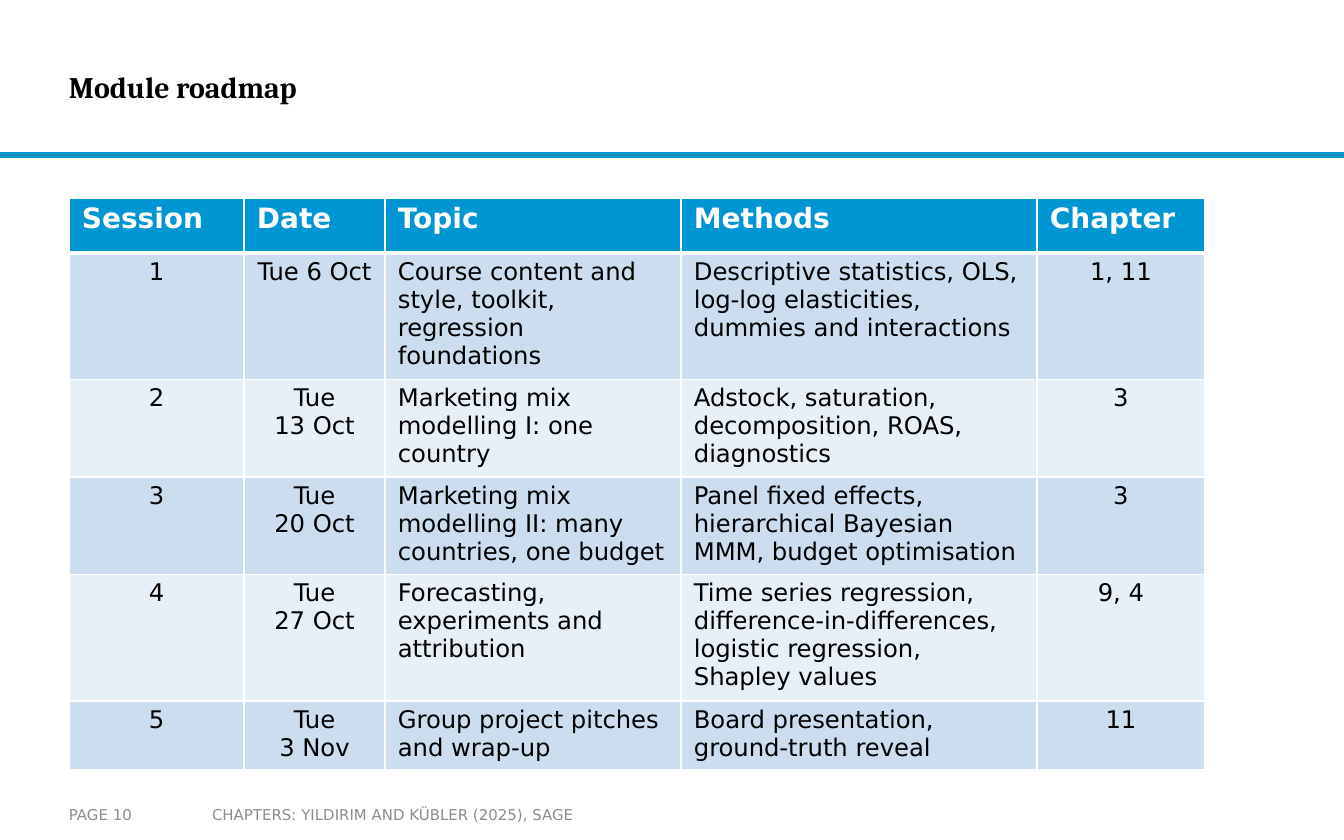
from lxml.etree import SubElement
from pptx import Presentation
from pptx.dml.color import RGBColor
from pptx.enum.shapes import MSO_SHAPE
from pptx.enum.text import MSO_ANCHOR, PP_ALIGN
from pptx.oxml.ns import qn
from pptx.util import Pt

EMU_PER_PX = 914400 / 134.4
NBSP = chr(160)  # keeps day and month on one line
COLORS = {
    "black": "000000", "white": "FFFFFF", "gray": "8C8C8C",
    "bar": "0C94B7", "accent": "0096D3",
    "band_dark": "CCDDEF", "band_light": "E7EFF7",
}
HEAD_FONT, BODY_FONT = "Cambria", "DejaVu Sans"

COLUMNS = [("Session", 175), ("Date", 141), ("Topic", 296),
           ("Methods", 356), ("Chapter", 168)]
CENTERED = {"Session", "Date", "Chapter"}
SESSIONS = [
    ("1", f"Tue 6{NBSP}Oct",
     "Course content and style, toolkit, regression foundations",
     "Descriptive statistics, OLS, log-log elasticities, dummies and interactions",
     "1, 11"),
    ("2", f"Tue 13{NBSP}Oct",
     "Marketing mix modelling I: one country",
     "Adstock, saturation, decomposition, ROAS, diagnostics", "3"),
    ("3", f"Tue 20{NBSP}Oct",
     "Marketing mix modelling II: many countries, one budget",
     "Panel fixed effects, hierarchical Bayesian MMM, budget optimisation", "3"),
    ("4", f"Tue 27{NBSP}Oct",
     "Forecasting, experiments and attribution",
     "Time series regression, difference-in-differences, logistic regression, "
     "Shapley values", "9, 4"),
    ("5", f"Tue 3{NBSP}Nov",
     "Group project pitches and wrap-up",
     "Board presentation, ground-truth reveal", "11"),
]


def px(n):
    return round(n * EMU_PER_PX)


def rgb(name):
    return RGBColor.from_string(COLORS[name])


class Deck:
    def __init__(self, width, height):
        self.prs = Presentation()
        self.prs.slide_width, self.prs.slide_height = px(width), px(height)
        self.s = self.prs.slides.add_slide(self.prs.slide_layouts[6])

    def run(self, p, text, size, color, font=BODY_FONT, bold=False):
        r = p.add_run()
        r.text = text
        r.font.name, r.font.size, r.font.bold = font, Pt(size), bold
        r.font.color.rgb = rgb(color)

    def bar(self, x, y, w, h, fill, line):
        sp = self.s.shapes.add_shape(MSO_SHAPE.RECTANGLE, px(x), px(y), px(w), px(h))
        sp.shadow.inherit = False
        sp.fill.solid()
        sp.fill.fore_color.rgb = rgb(fill)
        sp.line.color.rgb = rgb(line)
        sp.line.width = Pt(1)

    def text(self, x, y, w, h, text, size, color, inset=(0, 0), **style):
        tf = self.s.shapes.add_textbox(px(x), px(y), px(w), px(h)).text_frame
        tf.word_wrap = True
        tf.vertical_anchor = MSO_ANCHOR.MIDDLE
        tf.margin_left = tf.margin_right = px(inset[0])
        tf.margin_top = tf.margin_bottom = px(inset[1])
        self.run(tf.paragraphs[0], text, size, color, **style)

    def borders(self, cell, top, bottom):
        tc_pr = cell._tc.get_or_add_tcPr()
        for side, width in (("L", 1), ("R", 1), ("T", top), ("B", bottom)):
            ln = SubElement(tc_pr, qn(f"a:ln{side}"), w=str(Pt(width)))
            fill = SubElement(ln, qn("a:solidFill"))
            SubElement(fill, qn("a:srgbClr"), val=COLORS["white"])

    def cell(self, cell, text, size, color, fill, align, top, bottom, bold):
        cell.margin_left = cell.margin_right = px(13)
        cell.margin_top = cell.margin_bottom = px(5)
        self.borders(cell, top, bottom)
        cell.fill.solid()
        cell.fill.fore_color.rgb = rgb(fill)
        p = cell.text_frame.paragraphs[0]
        p.alignment = align
        self.run(p, text, size, color, bold=bold)

    def table(self, x, y, row_height, columns, rows, centered):
        names = [name for name, _ in columns]
        widths = [width for _, width in columns]
        lines = [names, *rows]
        table = self.s.shapes.add_table(
            len(lines), len(names), px(x), px(y),
            px(sum(widths)), px(row_height * len(lines))).table
        for column, width in zip(table.columns, widths):
            column.width = px(width)
        for i, line in enumerate(lines):
            table.rows[i].height = px(row_height)
            header = i == 0
            band = "band_dark" if i % 2 else "band_light"
            for j, text in enumerate(line):
                center = not header and names[j] in centered
                self.cell(
                    table.cell(i, j), text,
                    size=15 if header else 13,
                    color="white" if header else "black",
                    fill="accent" if header else band,
                    align=PP_ALIGN.CENTER if center else PP_ALIGN.LEFT,
                    top=3 if i == 1 else 1,
                    bottom=3 if header else 1,
                    bold=header)


def main():
    deck = Deck(1344, 840)

    # Title and rule
    deck.bar(0, 153, 1344, 4, "bar", "accent")
    deck.text(69, 20, 1005, 133, "Module roadmap", 16, "black",
              font=HEAD_FONT, bold=True)

    # Session table
    deck.table(69, 198, 55, COLUMNS, SESSIONS, CENTERED)

    # Footer
    deck.text(199, 796, 473, 38, "CHAPTERS: YILDIRIM AND KÜBLER (2025), SAGE",
              8, "gray", inset=(13, 7))
    deck.text(69, 796, 131, 38, "PAGE 10", 8, "gray", inset=(0, 7))

    deck.prs.save("out.pptx")


if __name__ == "__main__":
    main()
